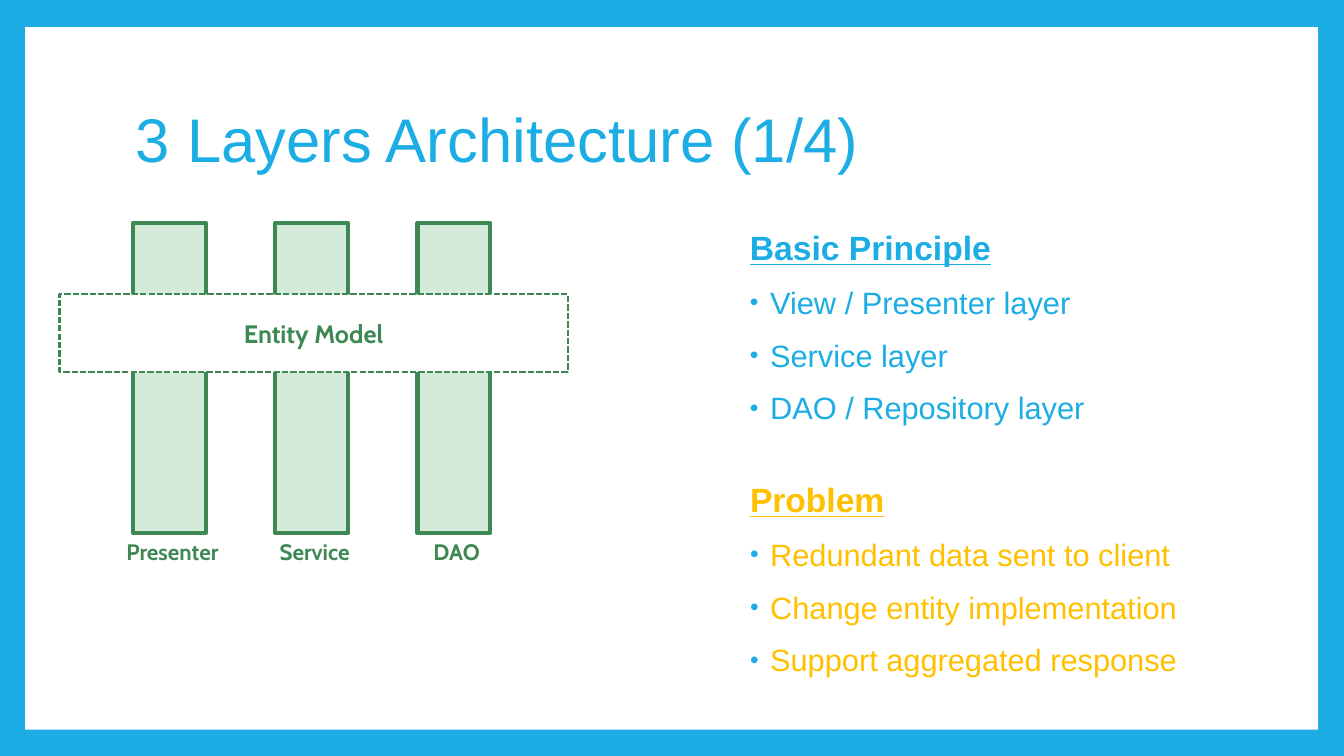
import pptx
import pptx.util
import pptx.dml.color
import pptx.enum.dml
import pptx.enum.shapes
import pptx.enum.text
import pptx.oxml.ns
import lxml.etree

EMU_PER_PX = 9144  # 100 px to the inch
BLUE, AMBER, GREEN, MINT, WHITE = "1CADE4", "FFC000", "3E8853", "D4EBDB", "FFFFFF"
CENTER = pptx.enum.text.PP_ALIGN.CENTER
MIDDLE = pptx.enum.text.MSO_ANCHOR.MIDDLE

# Diagram columns: caption and caption width
LAYERS = [("Presenter", 115), ("Service", 91), ("DAO", 67)]
BAR_LEFT, BAR_TOP, BAR_WIDTH, BAR_HEIGHT, BAR_PITCH = 132, 221, 72, 308, 141
CAPTION_SHIFT, CAPTION_HEIGHT = 3, 37

PRINCIPLES = ["View / Presenter layer", "Service layer", "DAO / Repository layer"]
PROBLEMS = ["Redundant data sent to client", "Change entity implementation",
            "Support aggregated response"]


def px(length):
    return pptx.util.Emu(round(length * EMU_PER_PX))


def color(hex_code):
    return pptx.dml.color.RGBColor.from_string(hex_code)


def format_text(paragraph, size, hex_code, font="Arial", bold=False, underline=False):
    for run in paragraph.runs:
        run.font.name = font
        run.font.size = pptx.util.Pt(size)
        run.font.bold = bold
        run.font.underline = underline
        run.font.color.rgb = color(hex_code)


def add_box(slide, left, top, width, height, fill, line=None, weight=0):
    box = slide.shapes.add_shape(pptx.enum.shapes.MSO_SHAPE.RECTANGLE,
                                 px(left), px(top), px(width), px(height))
    box.shadow.inherit = False
    box.fill.solid()
    box.fill.fore_color.rgb = color(fill)
    if line:
        box.line.color.rgb = color(line)
        box.line.width = pptx.util.Pt(weight)
    else:
        box.line.fill.background()
    return box


def add_text_frame(slide, left, top, width, height, wrap=True):
    frame = slide.shapes.add_textbox(px(left), px(top), px(width), px(height)).text_frame
    frame.word_wrap = wrap
    return frame


def set_indent(paragraph, margin, indent=0, bullet=False):
    properties = paragraph._p.get_or_add_pPr()
    properties.set("marL", str(px(margin)))
    properties.set("indent", str(px(indent)))
    if bullet:
        qn = pptx.oxml.ns.qn
        bullet_color = lxml.etree.SubElement(properties, qn("a:buClr"))
        lxml.etree.SubElement(bullet_color, qn("a:srgbClr"), val=BLUE)
        lxml.etree.SubElement(properties, qn("a:buSzPct"), val="80000")
        lxml.etree.SubElement(properties, qn("a:buFont"), typeface="Arial")
        lxml.etree.SubElement(properties, qn("a:buChar"), char="•")


def add_title(slide, text):
    frame = add_text_frame(slide, 125, 67, 1080, 148)
    frame.vertical_anchor = MIDDLE
    frame.text = text
    frame.paragraphs[0].line_spacing = 0.9
    format_text(frame.paragraphs[0], 44, BLUE)


def add_bullet_section(slide, top, width, heading, points, hex_code):
    frame = add_text_frame(slide, 729, top, width, 211)
    frame.text = "\n".join([heading] + points)
    for paragraph in frame.paragraphs:
        paragraph.line_spacing = 0.9
        paragraph.space_before = pptx.util.Pt(14)
    heading_line, *point_lines = frame.paragraphs
    set_indent(heading_line, 5)
    format_text(heading_line, 24, hex_code, bold=True, underline=True)
    for point_line in point_lines:
        set_indent(point_line, 25, -20, bullet=True)
        format_text(point_line, 22, hex_code)


def add_layer(slide, left, name, caption_width):
    add_box(slide, left, BAR_TOP, BAR_WIDTH, BAR_HEIGHT, MINT, GREEN, 3)
    caption_left = left + BAR_WIDTH / 2 + CAPTION_SHIFT - caption_width / 2
    caption = add_text_frame(slide, caption_left, BAR_TOP + BAR_HEIGHT,
                             caption_width, CAPTION_HEIGHT, wrap=False)
    caption.auto_size = pptx.enum.text.MSO_AUTO_SIZE.SHAPE_TO_FIT_TEXT
    caption.text = name
    caption.paragraphs[0].alignment = CENTER
    format_text(caption.paragraphs[0], 16, GREEN, "Cabin", bold=True)


def add_entity_model(slide):
    entity_model = add_box(slide, 59, 292, 504, 77, WHITE, GREEN, 1.5)
    entity_model.line.dash_style = pptx.enum.dml.MSO_LINE.SQUARE_DOT
    frame = entity_model.text_frame
    frame.vertical_anchor = MIDDLE
    frame.text = "Entity Model"
    frame.paragraphs[0].alignment = CENTER
    format_text(frame.paragraphs[0], 18, GREEN, "Cabin", bold=True)


def main():
    deck = pptx.Presentation()
    deck.slide_width, deck.slide_height = px(1333), px(750)
    slide = deck.slides.add_slide(deck.slide_layouts[6])

    # Blue frame around a white page
    slide.background.fill.solid()
    slide.background.fill.fore_color.rgb = color(BLUE)
    add_box(slide, 25, 27, 1282, 697, WHITE)

    # Title and bullet sections
    add_title(slide, "3 Layers Architecture (1/4)")
    add_bullet_section(slide, 225, 476, "Basic Principle", PRINCIPLES, BLUE)
    add_bullet_section(slide, 475, 568, "Problem", PROBLEMS, AMBER)

    # Layer bars crossed by the entity model
    for column, (name, caption_width) in enumerate(LAYERS):
        add_layer(slide, BAR_LEFT + column * BAR_PITCH, name, caption_width)
    add_entity_model(slide)

    deck.save("out.pptx")


if __name__ == "__main__":
    main()
